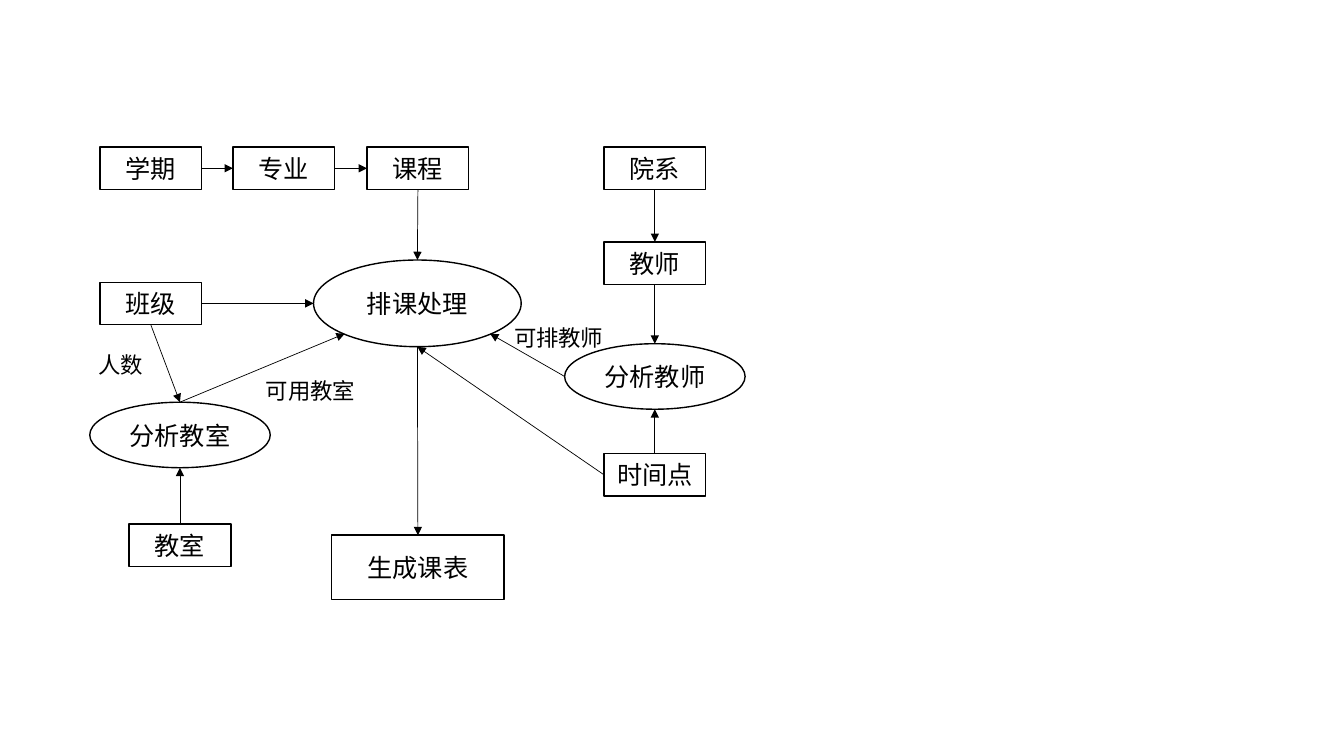
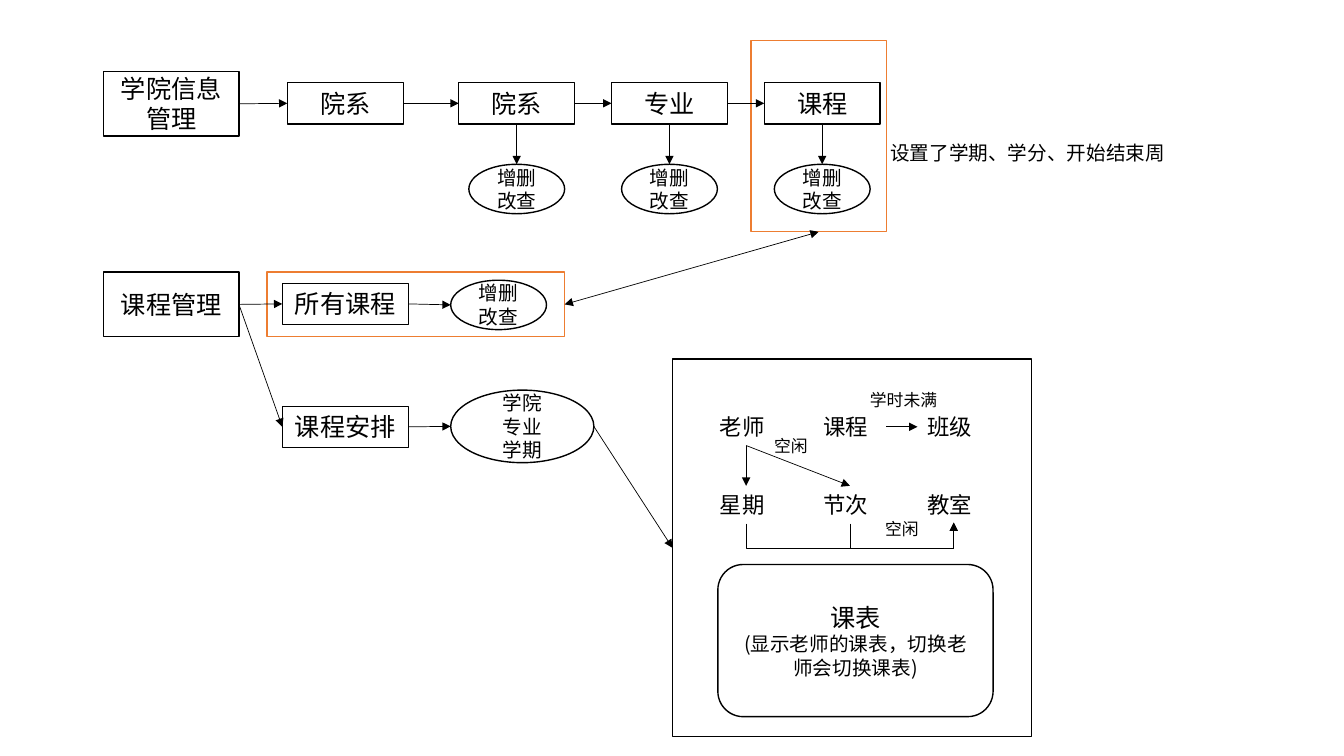
from lxml.etree import SubElement
from pptx import Presentation
from pptx.dml.color import RGBColor
from pptx.enum.shapes import MSO_CONNECTOR, MSO_SHAPE
from pptx.enum.text import MSO_ANCHOR, MSO_AUTO_SIZE, PP_ALIGN
from pptx.oxml.ns import qn
from pptx.util import Inches, Pt

FONT = "Noto Sans CJK SC"
COLORS = {"ink": "000000", "paper": "FFFFFF", "accent": "ED7D31"}
KINDS = {"box": MSO_SHAPE.RECTANGLE, "oval": MSO_SHAPE.OVAL,
         "round": MSO_SHAPE.ROUNDED_RECTANGLE, "frame": MSO_SHAPE.RECTANGLE}
# Where a line may touch a shape, as shares of its width and height
SPOTS = {"t": (0.5, 0), "b": (0.5, 1), "l": (0, 0.5), "r": (1, 0.5),
         "bl": (0.15, 0.85), "br": (0.85, 0.85)}
# Text frame settings
INSIDE = {"word_wrap": True, "vertical_anchor": MSO_ANCHOR.MIDDLE}
LABEL = {"word_wrap": False, "auto_size": MSO_AUTO_SIZE.SHAPE_TO_FIT_TEXT}
CELL = {**LABEL, "word_wrap": True}


def put(slide, kind, place, text="", size=18, color="ink"):
    """Add a shape, or plain text for the kinds label and cell."""
    area = [Inches(v) for v in place]
    if kind in KINDS:
        shape = slide.shapes.add_shape(KINDS[kind], *area)
        shape.shadow.inherit = False
        shape.line.color.rgb = RGBColor.from_string(COLORS[color])
        shape.line.width = Pt(1)
        if kind == "frame":
            shape.fill.background()
        else:
            shape.fill.solid()
            shape.fill.fore_color.rgb = RGBColor.from_string(COLORS["paper"])
        look, align = INSIDE, PP_ALIGN.CENTER
    else:
        shape = slide.shapes.add_textbox(*area)
        look, align = (CELL if kind == "cell" else LABEL), PP_ALIGN.LEFT
    if not text:
        return shape
    frame = shape.text_frame
    for name, value in look.items():
        setattr(frame, name, value)
    sizes = size if isinstance(size, tuple) else [size] * (text.count("\n") + 1)
    frame.text = text
    for para, points in zip(frame.paragraphs, sizes):
        para.alignment = align
        run = para.runs[0]
        style = {"name": FONT, "size": Pt(points)}
        for name, value in style.items():
            setattr(run.font, name, value)
        run.font.color.rgb = RGBColor.from_string(COLORS["ink"])
        SubElement(run.font._element, qn("a:ea"), typeface=FONT)
    return shape


def link(slide, parts, start, end, both=False, drop=0):
    """Join two spots such as "key.side"; drop bends the line below them."""
    ends = []
    for name in (start, end):
        key, side = name.split(".")
        part, (fx, fy) = parts[key], SPOTS[side]
        ends += [int(part.left + part.width * fx), int(part.top + part.height * fy)]
    kind = MSO_CONNECTOR.ELBOW if drop else MSO_CONNECTOR.STRAIGHT
    line = slide.shapes.add_connector(kind, *ends)
    line.line.color.rgb = RGBColor.from_string(COLORS["ink"])
    line.line.width = Pt(0.5)
    props = line.element.spPr
    if drop:
        # A thin connector turned by 90 degrees, with its bend pushed down
        thin, span = Inches(0.01), ends[2] - ends[0]
        spot = {"left": ends[0] + (span - thin) // 2, "top": ends[1] - span // 2,
                "width": thin, "height": span}
        for name, value in spot.items():
            setattr(line, name, value)
        for name, value in {"rot": "5400000", "flipH": "1", "flipV": "1"}.items():
            props.find(qn("a:xfrm")).set(name, value)
        geom = props.find(qn("a:prstGeom"))
        guides = geom.find(qn("a:avLst"))
        if guides is None:
            guides = SubElement(geom, qn("a:avLst"))
        bend = round(-drop / 0.01 * 100000)
        SubElement(guides, qn("a:gd"), name="adj1", fmla=f"val {bend}")
    edge = props.find(qn("a:ln"))
    for tip in (["headEnd"] if both else []) + ["tailEnd"]:
        SubElement(edge, qn(f"a:{tip}"), type="triangle")
    SubElement(props, qn("a:effectLst"))


deck = Presentation()
deck.slide_width, deck.slide_height = Inches(13.33), Inches(7.5)
blank = deck.slide_layouts[6]

# Slide 1: how the timetable is worked out
slide = deck.slides.add_slide(blank)
parts = {}
for text, x, y in [("学期", 0.99, 1.46), ("专业", 2.31, 1.46), ("课程", 3.64, 1.46),
                   ("院系", 5.99, 1.46), ("教师", 5.99, 2.4), ("班级", 0.99, 2.8),
                   ("时间点", 5.99, 4.5), ("教室", 1.28, 5.2)]:
    parts[text] = put(slide, "box", (x, y, 1.01, 0.42), text)
for kind, text, place in [("oval", "排课处理", (3.11, 2.58, 2.06, 0.86)),
                          ("oval", "分析教室", (0.89, 3.99, 1.79, 0.65)),
                          ("oval", "分析教师", (5.6, 3.41, 1.79, 0.65)),
                          ("box", "生成课表", (3.29, 5.31, 1.71, 0.64))]:
    parts[text] = put(slide, kind, place, text)
for text, place in [("人数", (0.88, 3.43, 0.65, 0.37)),
                    ("可用教室", (2.54, 3.69, 1.1, 0.37)),
                    ("可排教师", (5, 3.17, 1.14, 0.37))]:
    put(slide, "label", place, text, 16)
for start, end in [("学期.r", "专业.l"), ("专业.r", "课程.l"), ("课程.b", "排课处理.t"),
                   ("班级.r", "排课处理.l"), ("班级.b", "分析教室.t"),
                   ("教室.t", "分析教室.b"), ("分析教室.t", "排课处理.bl"),
                   ("院系.b", "教师.t"), ("教师.b", "分析教师.t"),
                   ("时间点.t", "分析教师.b"), ("时间点.l", "排课处理.b"),
                   ("分析教师.l", "排课处理.br"), ("排课处理.b", "生成课表.t")]:
    link(slide, parts, start, end)

# Slide 2: menus and the arranging page
slide = deck.slides.add_slide(blank)
parts = {}
for key, place, color in [("set", (7.45, 0.4, 1.34, 1.9), "accent"),
                          ("list", (2.65, 2.7, 2.95, 0.64), "accent"),
                          ("page", (6.67, 3.56, 3.56, 3.75), "ink")]:
    parts[key] = put(slide, "frame", place, color=color)
for key, text, place in [("info", "学院信息管理", (1.03, 0.71, 1.34, 0.64)),
                         ("admin", "课程管理", (1.03, 2.7, 1.34, 0.64)),
                         ("dept", "院系", (2.85, 0.82, 1.15, 0.41)),
                         ("all", "所有课程", (2.8, 2.81, 1.25, 0.41)),
                         ("plan", "课程安排", (2.8, 4.03, 1.25, 0.41))]:
    parts[key] = put(slide, "box", place, text)

# Boxes with an edit oval below each
EDIT = "增删改查"
for i, (key, text) in enumerate([("unit", "院系"), ("major", "专业"), ("course", "课程")]):
    x = 4.55 + 1.515 * i
    parts[key] = put(slide, "box", (x, 0.82, 1.15, 0.41), text)
    parts["edit"] = put(slide, "oval", (x + 0.1, 1.63, 0.95, 0.49), EDIT, 14)
    link(slide, parts, f"{key}.b", "edit.t")
parts["edit"] = put(slide, "oval", (4.47, 2.78, 0.95, 0.49), EDIT, 14)
parts["pick"] = put(slide, "oval", (4.47, 3.87, 1.42, 0.72), "学院\n专业\n学期", 14)

# Words in a grid inside the page
for row, words in enumerate([[("who", "老师"), ("what", "课程"), ("group", "班级")],
                             [("day", "星期"), ("slot", "节次"), ("room", "教室")]]):
    for col, (key, text) in enumerate(words):
        place = (7.04 + 1.03 * col, 4.05 + 0.77 * row, 0.72, 0.37)
        parts[key] = put(slide, "cell", place, text, 16)
put(slide, "round", (7.12, 5.6, 2.73, 1.51),
    "课表\n(显示老师的课表，切换老师会切换课表)", (18, 14))
for text, place, size in [("设置了学期、学分、开始结束周", (8.73, 1.35, 2.95, 0.34), 14),
                          ("空闲", (7.58, 4.27, 0.54, 0.3), 12),
                          ("空闲", (8.68, 5.1, 0.54, 0.3), 12),
                          ("学时未满", (8.53, 3.82, 0.88, 0.3), 12)]:
    put(slide, "label", place, text, size)

# Arrows
for start, end in [("info.r", "dept.l"), ("dept.r", "unit.l"), ("unit.r", "major.l"),
                   ("major.r", "course.l"), ("admin.r", "all.l"), ("all.r", "edit.l"),
                   ("admin.r", "plan.l"), ("plan.r", "pick.l"), ("pick.r", "page.l"),
                   ("who.b", "day.t"), ("who.b", "slot.t"), ("what.r", "group.l")]:
    link(slide, parts, start, end)
link(slide, parts, "list.r", "set.b", both=True)
for key in ("day", "slot"):
    link(slide, parts, f"{key}.b", "room.b", drop=0.25)

deck.save("out.pptx")
